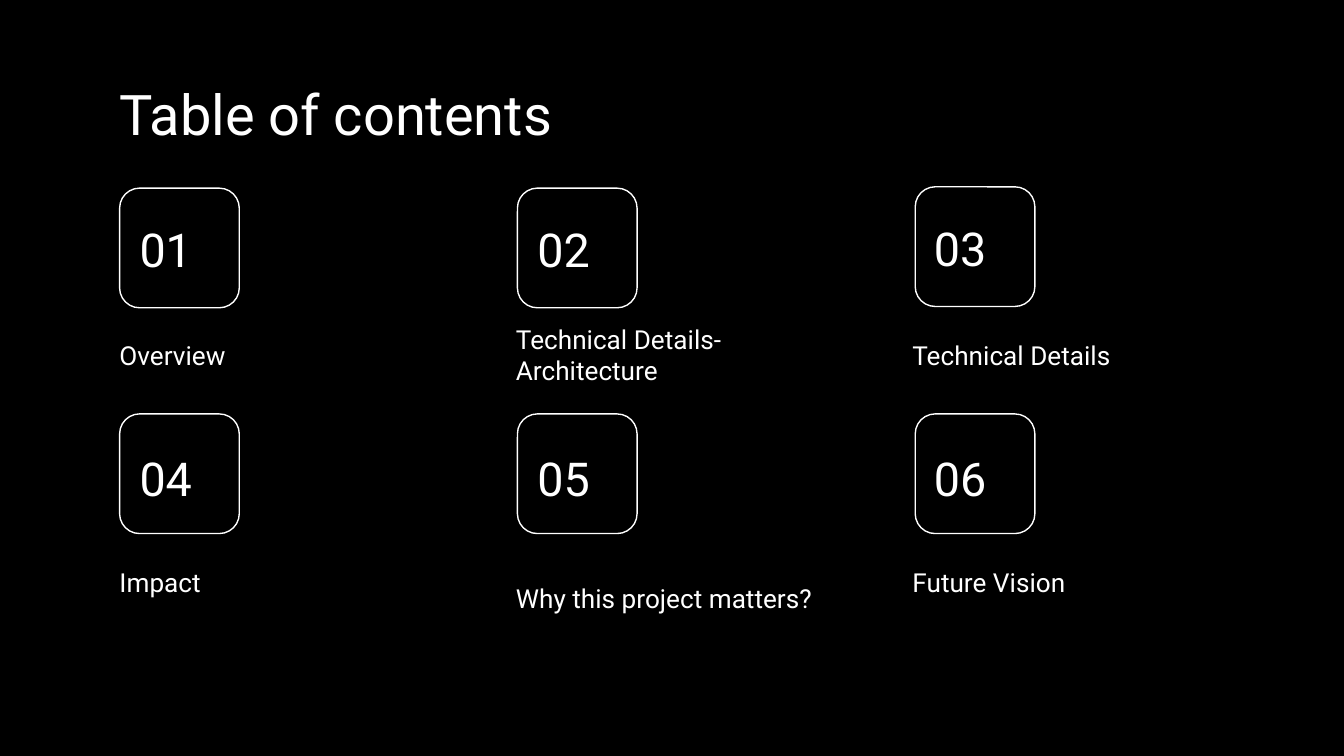
from pptx import Presentation
from pptx.dml.color import RGBColor
from pptx.enum import shapes, text
from pptx.util import Inches, Pt

COLORS = {"back": "000000", "ink": "FFFFFF"}
FONT = "Roboto"
TITLE = "Table of contents"
# label, label height, drop of the label, shift of the number box
ITEMS = [
    ("Overview", 0.7, 0, 0),
    ("Technical Details-Architecture", 0.53, 0.11, 0),
    ("Technical Details", 0.7, 0, -0.01),
    ("Impact", 0.7, 0, 0),
    ("Why this project matters?", 0.7, 0.12, 0),
    ("Future Vision", 0.7, 0, 0),
]
# tops of box and number, bottom of label
ROWS = [(1.4, 1.61, 2.86), (3.08, 3.31, 4.55)]
# left edges of box, number and label
COLS = [(0.89, 0.94, 0.79), (3.85, 3.9, 3.74), (6.81, 6.85, 6.69)]
SIDE = 0.89

deck = Presentation()
deck.slide_width = Inches(10)
deck.slide_height = deck.slide_width * 9 // 16
slide = deck.slides.add_slide(deck.slide_layouts[6])


def tint(name):
    return RGBColor.from_string(COLORS[name])


def write(words, area, size, anchor):
    frame = slide.shapes.add_textbox(*map(Inches, area)).text_frame
    inset = Inches(0.1)
    look = {
        "word_wrap": True, "vertical_anchor": anchor,
        "margin_left": inset, "margin_right": inset,
        "margin_top": inset, "margin_bottom": inset,
    }
    for key, value in look.items():
        setattr(frame, key, value)
    run = frame.paragraphs[0].add_run()
    run.text = words
    run.font.name, run.font.size = FONT, Pt(size)
    run.font.color.rgb = tint("ink")


def frame_box(x, y):
    box = slide.shapes.add_shape(
        shapes.MSO_SHAPE.ROUNDED_RECTANGLE, *map(Inches, (x, y, SIDE, SIDE)))
    box.shadow.inherit = False
    box.fill.solid()
    box.fill.fore_color.rgb = tint("back")
    box.line.color.rgb = tint("ink")
    box.line.width = Pt(0.75)


fill = slide.background.fill
fill.solid()
fill.fore_color.rgb = tint("back")

anchor = text.MSO_ANCHOR
write(TITLE, (0.79, 0.49, 8.43, 0.63), 30, anchor.TOP)
for i, (label, high, drop, shift) in enumerate(ITEMS):
    row, col = divmod(i, len(COLS))
    top, mid, base = ROWS[row]
    left, inner, edge = COLS[col]
    frame_box(left, top + shift)
    write(f"{i + 1:02}", (inner, mid + shift, 0.79, 0.49), 25, anchor.MIDDLE)
    write(label, (edge, base + drop - high, 2.52, high), 14, anchor.BOTTOM)

deck.save("out.pptx")
